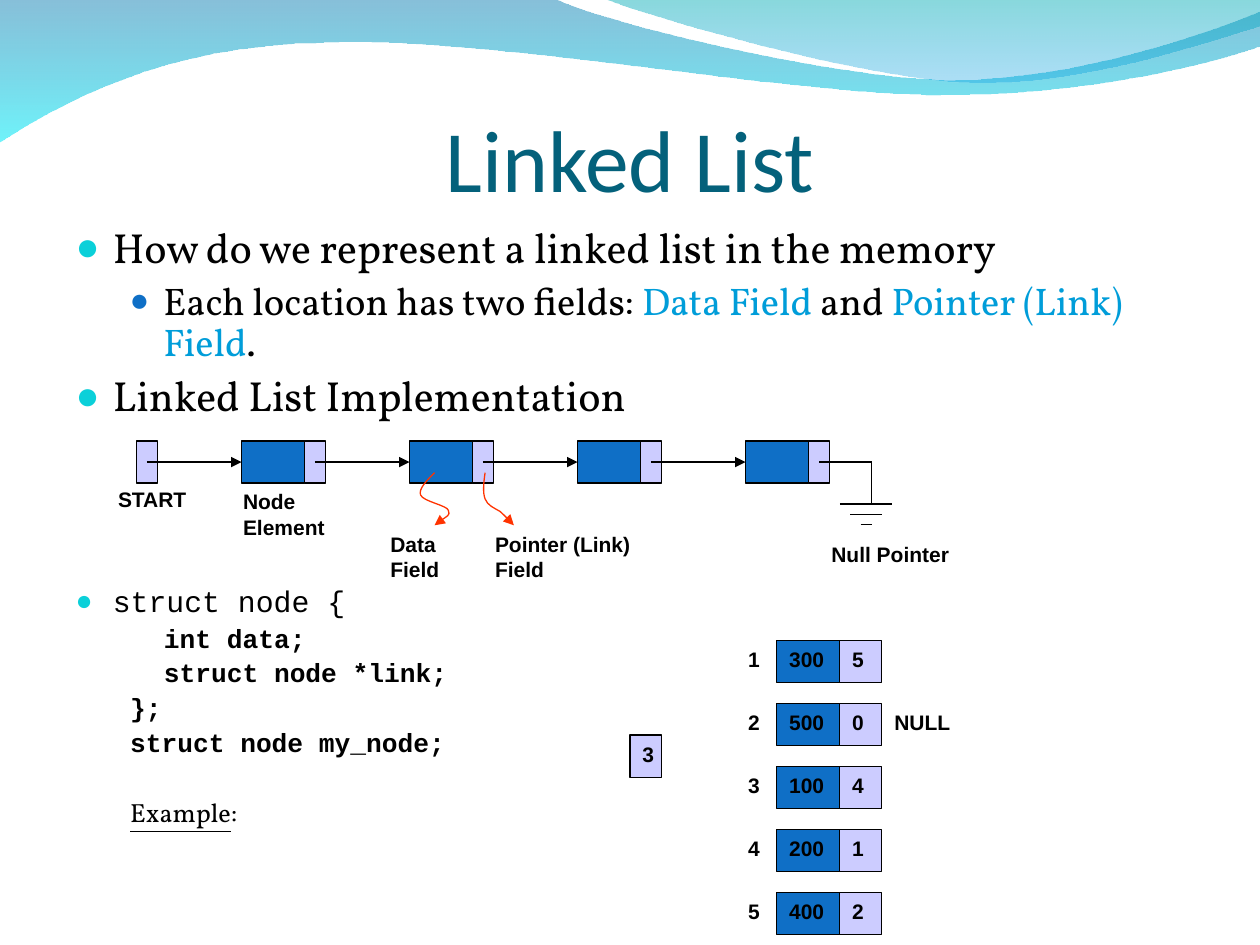
from lxml.etree import SubElement
from pptx import Presentation
from pptx.dml.color import RGBColor
from pptx.enum.shapes import MSO_CONNECTOR, MSO_SHAPE
from pptx.enum.text import MSO_ANCHOR, MSO_AUTO_SIZE, PP_ALIGN
from pptx.oxml.ns import qn
from pptx.util import Cm, Pt

rgb = RGBColor.from_string
BLUE, LILAC, BLACK, TEAL, SKY = "0F6FC6", "CCCCFF", "000000", "0BD0D9", "009DD9"
CELL_H, DATA_W, LINK_W = 0.85, 1.27, 0.42

prs = Presentation()
prs.slide_width, prs.slide_height = Cm(25.4), Cm(19.05)
s = prs.slides.add_slide(prs.slide_layouts[1])


def add_curve(start, segments, close):
    """Draw a freeform from line ends (1 point) and cubic Beziers (3 points)."""
    fb = s.shapes.build_freeform(Cm(start[0]), Cm(start[1]))
    fb.add_line_segments([(Cm(x), Cm(y)) for seg in segments for x, y in seg], close=close)
    sp = fb.convert_to_shape()
    sp.shadow.inherit = False
    steps = iter(list(sp.element.iter(qn("a:lnTo"))))
    for seg in segments:
        group = [next(steps) for _ in seg]
        if len(group) == 3:
            bezier = SubElement(group[0].getparent(), qn("a:cubicBezTo"))
            group[0].addprevious(bezier)
            for step in group:
                bezier.append(step[0])
                step.getparent().remove(step)
    return sp


def write_label(sp, text, wrap=False):
    tf = sp.text_frame
    tf.word_wrap = wrap
    tf.vertical_anchor = MSO_ANCHOR.TOP
    tf.text = text
    p = tf.paragraphs[0]
    p.alignment = PP_ALIGN.LEFT
    f = p.runs[0].font
    f.name, f.size, f.bold = "Arial", Pt(12), True
    f.color.rgb = rgb(BLACK)


# Waves along the top
waves = [
    ((-0.03, -0.03), [
        [(11.18, -0.03)],
        [(12.09, 0.43), (16.87, 1.6), (19.25, 1.6)],
        [(21.67, 1.6), (24.33, 0.66), (25.4, 0.23)],
        [(25.43, 0.91)],
        [(24.97, 1.12), (22.1, 1.93), (18.95, 1.91)],
        [(15.8, 1.91), (9.7, 0.71), (6.53, 0.86)],
        [(3.28, 0.89), (1.17, 2.11), (-0.03, 2.87)],
    ], [("0079AF", 47), ("00EBF8", 57)]),
    ((12.17, -0.03), [
        [(12.93, 0.28), (17.32, 1.57), (19.53, 1.65)],
        [(21.74, 1.75), (24.41, 0.81), (25.4, 0.53)],
        [(25.4, 0)],
    ], [("00ADB6", 47), ("009BE5", 32)]),
]
for start, segments, stops in waves:
    sp = add_curve(start, segments, True)
    sp.line.fill.background()
    sp.fill.gradient()
    sp.fill.gradient_angle = 270
    for stop, (color, opacity) in zip(sp.fill.gradient_stops, stops):
        stop.color.rgb = rgb(color)
    for clr, (color, opacity) in zip(sp.element.spPr.iter(qn("a:srgbClr")), stops):
        SubElement(clr, qn("a:alpha"), val=str(opacity * 1000))

# Title
title = s.shapes.title
title.left, title.top, title.width, title.height = Cm(1.27), Cm(1.95), Cm(22.86), Cm(2.29)
tf = title.text_frame
tf.auto_size = MSO_AUTO_SIZE.NONE
tf.vertical_anchor = MSO_ANCHOR.BOTTOM
tf.margin_left = tf.margin_right = tf.margin_bottom = 0
tf.text = "Linked List"
p = tf.paragraphs[0]
p.alignment = PP_ALIGN.CENTER
f = p.runs[0].font
f.name, f.size = "Calibri", Pt(50)
f.color.rgb = rgb("04617B")

# Body: runs, level, size, font, bold, space before, left margin, indent, bullet
SERIF, MONO = "Vollkorn", "Courier New"
items = [
    (["How do we represent a linked list in the memory"], 0, 24, SERIF, False, 0, 0.75, -0.75, (TEAL, 95)),
    (["Each location has two fields: ", "Data Field", " and ", "Pointer (Link) Field", "."],
     1, 22, SERIF, False, 5.5, 1.77, -0.68, (BLUE, 85)),
    (["Linked List Implementation"], 0, 24, SERIF, False, 6, 0.75, -0.75, (TEAL, 95)),
    (["struct node {"], 0, 17, MONO, False, 94.7, 0.75, -0.75, (TEAL, 95)),
    (["int data;"], 1, 15, MONO, True, 3.7, 1.78, 0, None),
    (["struct node *link;"], 1, 15, MONO, True, 3.7, 1.78, 0, None),
    (["};"], 1, 15, MONO, True, 3.7, 1.1, 0, None),
    (["struct node my_node;"], 1, 15, MONO, True, 3.7, 1.1, 0, None),
    (["Example", ":"], 1, 15, SERIF, False, 23.7, 1.1, 0, None),
]
body = s.placeholders[1]
body.left, body.top, body.width, body.height = Cm(1.27), Cm(4.45), Cm(22.86), Cm(13.13)
tf = body.text_frame
tf.auto_size = MSO_AUTO_SIZE.NONE
for i, (runs, level, size, font, bold, before, left, indent, bullet) in enumerate(items):
    p = tf.paragraphs[0] if i == 0 else tf.add_paragraph()
    pPr = p._p.get_or_add_pPr()
    pPr.set("marL", str(Cm(left)))
    pPr.set("indent", str(Cm(indent)))
    if bullet:
        SubElement(SubElement(pPr, qn("a:buClr")), qn("a:srgbClr"), val=bullet[0])
        SubElement(pPr, qn("a:buSzPct"), val=str(bullet[1] * 1000))
        SubElement(pPr, qn("a:buChar"), char="●")
    else:
        SubElement(pPr, qn("a:buNone"))
    p.level, p.line_spacing, p.space_before = level, 0.9, Pt(before)
    for text in runs:
        r = p.add_run()
        r.text = text
        r.font.name, r.font.size, r.font.bold = font, Pt(size), bold
        r.font.underline = text == "Example"
        r.font.color.rgb = rgb(SKY if "Field" in text else BLACK)

# Cells: left, top, width, fill, text
LIST_Y, ROW_X = 8.89, 15.66
node_xs = [4.87 + 10.16 * i / 3 for i in range(4)]
row_ys = [12.91 + 1.27 * i for i in range(5)]
cells = [(2.75, LIST_Y, LINK_W, LILAC, ""), (12.7, 14.82, 0.64, LILAC, "3")]
for x in node_xs:
    cells += [(x, LIST_Y, DATA_W, BLUE, ""), (x + DATA_W, LIST_Y, LINK_W, LILAC, "")]
for y, data, link in zip(row_ys, ["300", "500", "100", "200", "400"], "50412"):
    cells += [(ROW_X, y, DATA_W, BLUE, data), (ROW_X + DATA_W, y, 2 * LINK_W, LILAC, link)]
nodes = []
for x, y, w, fill, text in cells:
    sp = s.shapes.add_shape(MSO_SHAPE.RECTANGLE, Cm(x), Cm(y), Cm(w), Cm(CELL_H))
    sp.shadow.inherit = False
    sp.fill.solid()
    sp.fill.fore_color.rgb = rgb(fill)
    sp.line.color.rgb = rgb(BLACK)
    sp.line.width = Pt(0.75)
    if text:
        write_label(sp, text)
    if y == LIST_Y and fill == BLUE:
        nodes.append(sp)

# Links between nodes, then the null pointer symbol
MID_Y = LIST_Y + CELL_H / 2
lines = [(x - 1.91, MID_Y, x, MID_Y, node) for x, node in zip(node_xs, nodes)]
lines += [(16.52, MID_Y, 17.57, MID_Y, None), (17.57, MID_Y, 17.57, 10.16, None)]
lines += [(17.46 - half, y, 17.46 + half, y, None) for half, y in [(0.53, 10.16), (0.32, 10.37), (0.11, 10.57)]]
arrows = []
for x1, y1, x2, y2, node in lines:
    c = s.shapes.add_connector(MSO_CONNECTOR.STRAIGHT, Cm(x1), Cm(y1), Cm(x2), Cm(y2))
    c.line.color.rgb = rgb(BLACK)
    c.line.width = Pt(0.75)
    SubElement(c.element.spPr, qn("a:effectLst"))
    if node:
        c.end_connect(node, 1)
        arrows.append(c)

# Curved pointers to the field names
pointers = [
    ((8.76, 9.53), [
        [(8.61, 9.68), (8.43, 9.86), (8.48, 9.98)],
        [(8.53, 10.11), (9.02, 10.19), (9.04, 10.29)],
        [(9.09, 10.39), (8.81, 10.54), (8.76, 10.59)],
    ]),
    ((9.78, 9.53), [
        [(9.75, 9.73), (9.73, 9.93), (9.78, 10.06)],
        [(9.83, 10.19), (9.96, 10.24), (10.08, 10.31)],
        [(10.19, 10.41), (10.31, 10.54), (10.36, 10.59)],
    ]),
]
for start, segments in pointers:
    sp = add_curve(start, segments, False)
    sp.fill.background()
    sp.line.color.rgb = rgb("FF3300")
    sp.line.width = Pt(0.75)
    arrows.append(sp)
for sp in arrows:
    SubElement(sp.element.spPr.find(qn("a:ln")), qn("a:tailEnd"), type="triangle")

# Labels: left, top, width, height, text, wrap
labels = [
    (2.13, 9.68, 1.91, 0.76, "START", False),
    (4.65, 9.73, 3.18, 1.27, "Node Element", True),
    (9.73, 10.59, 3.81, 1.27, "Pointer (Link) Field", True),
    (7.62, 10.59, 2.34, 1.27, "Data Field", True),
    (16.51, 10.8, 2.97, 0.76, "Null Pointer", False),
    (17.78, row_ys[1], 1.7, 0.76, "NULL", False),
]
labels += [(14.83, y, 0.74, 0.76, str(i), False) for i, y in enumerate(row_ys, 1)]
for x, y, w, h, text, wrap in labels:
    write_label(s.shapes.add_textbox(Cm(x), Cm(y), Cm(w), Cm(h)), text, wrap)

prs.save("out.pptx")
